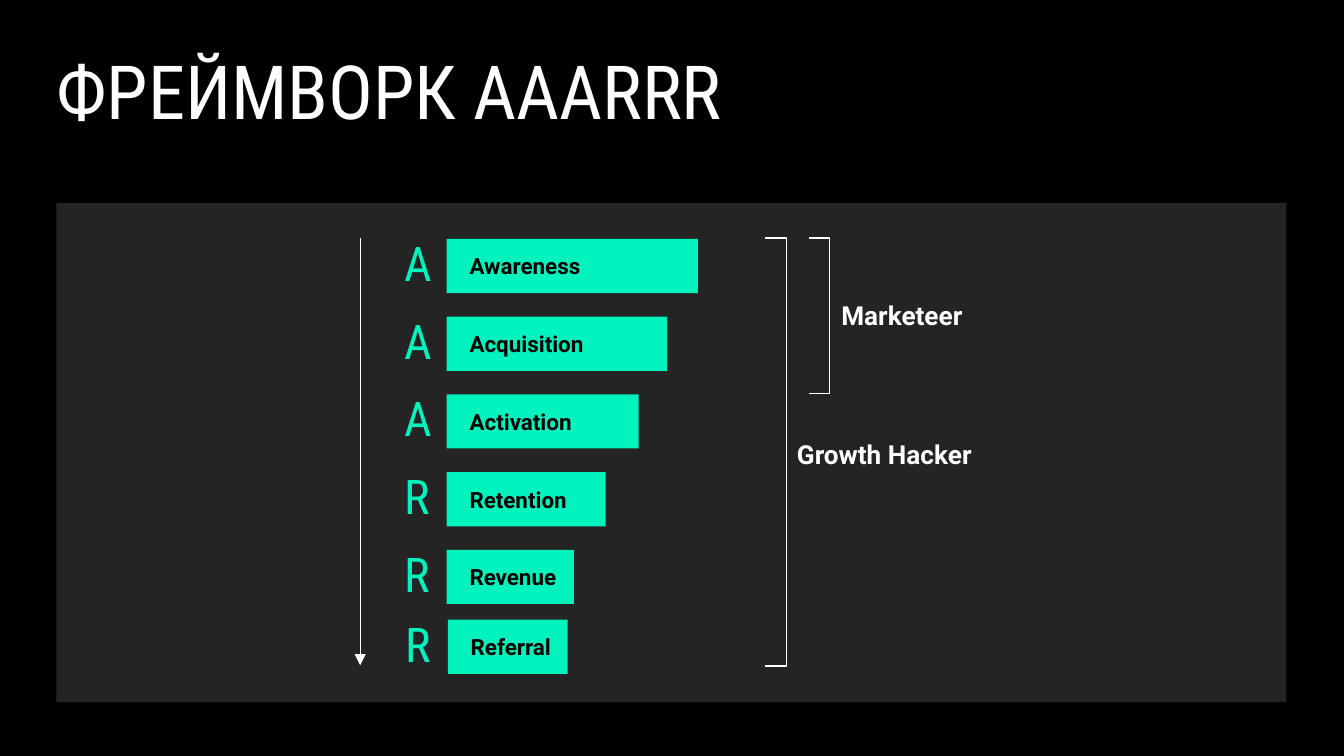
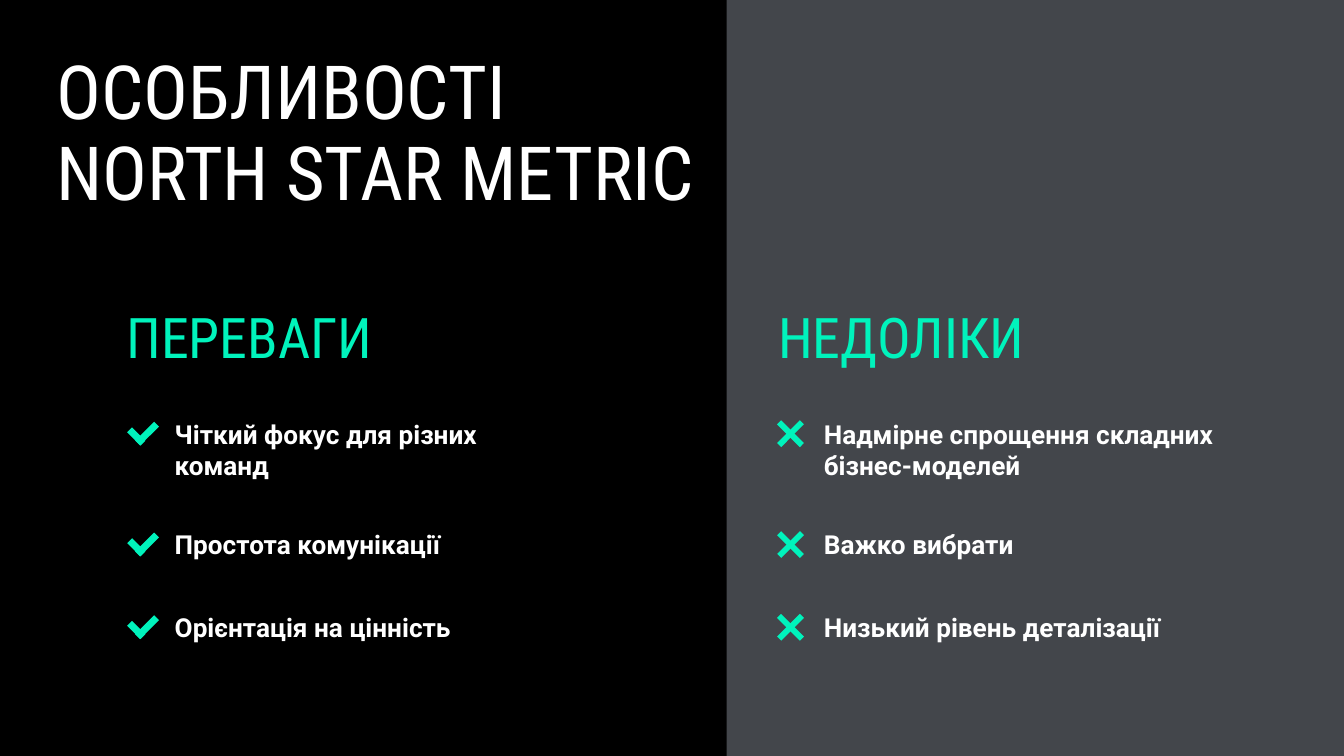
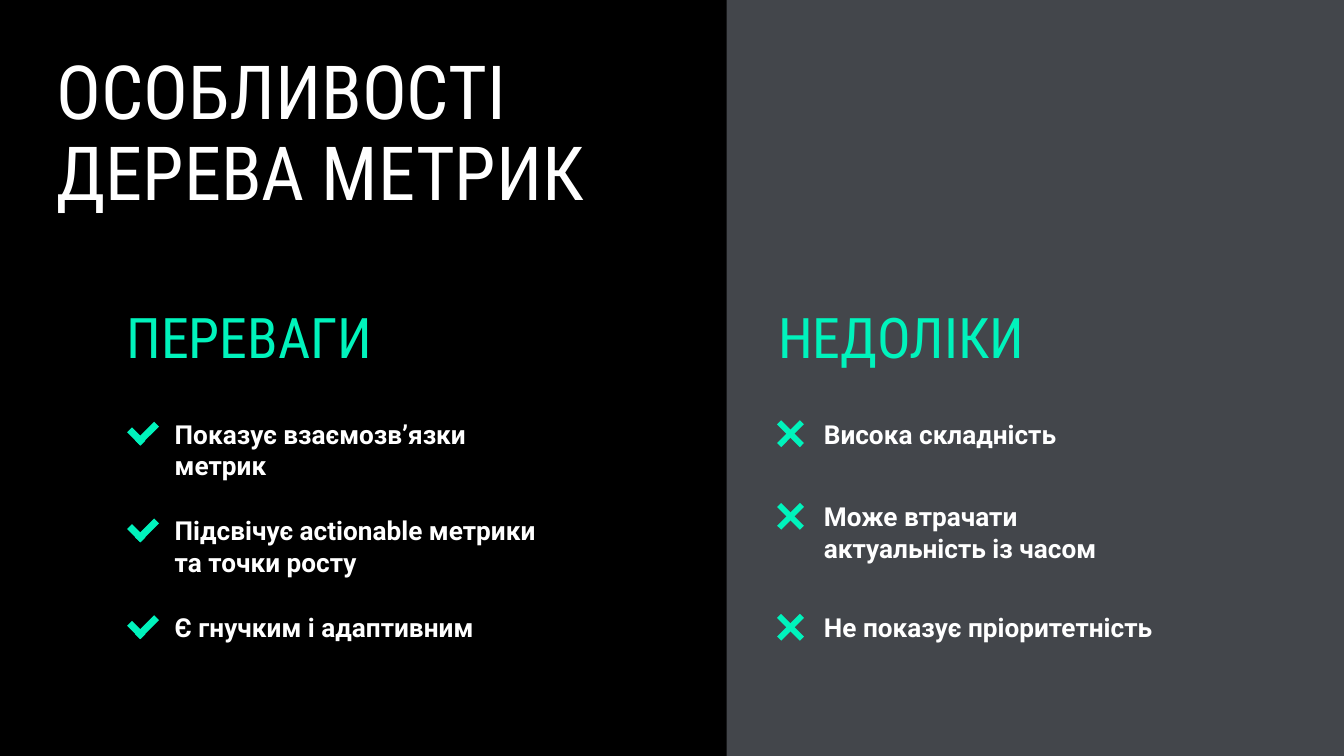
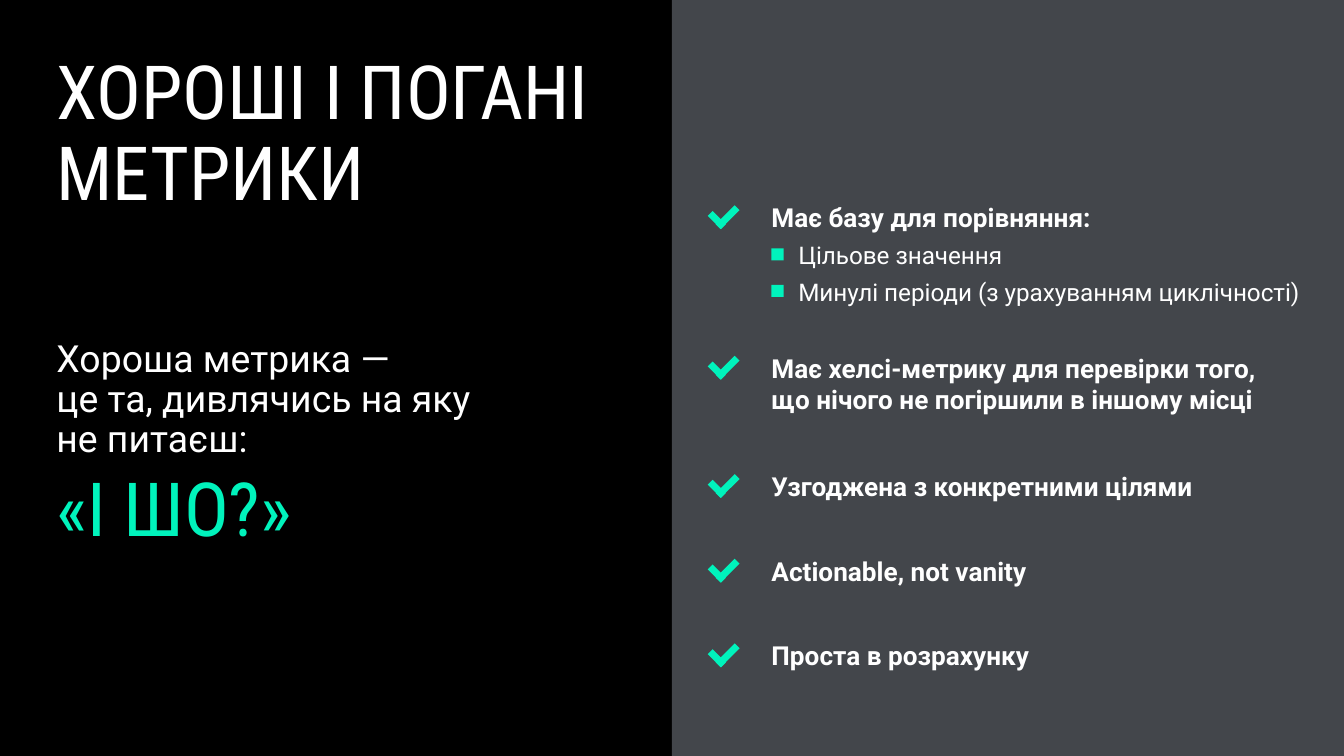
from dataclasses import dataclass
from typing import Callable, NamedTuple

import pptx
import pptx.dml.color
import pptx.enum.shapes
import pptx.enum.text
import pptx.oxml.ns
import pptx.util
from lxml import etree

Pt = pptx.util.Pt
qn = pptx.oxml.ns.qn
ANCHOR = pptx.enum.text.MSO_ANCHOR

COLORS = {
    "black": "000000",
    "white": "FFFFFF",
    "mint": "00F3BC",
    "panel": "242424",
    "side": "43464B",
}
BODY_FONT = "Roboto"
HEAD_FONT = "Roboto Condensed"
SLIDE_W, SLIDE_H = 720, 405
MARGIN = 30.24


class Box(NamedTuple):
    left: float
    top: float
    width: float
    height: float


class Stage(NamedTuple):
    name: str
    width: float


class Point(NamedTuple):
    text: str
    top: float
    width: float
    height: float = 17.28


class Bracket(NamedTuple):
    left: float
    right: float
    bottom: float
    label: str
    label_box: Box


@dataclass
class Column:
    heading: str
    heading_box: Box
    mark: Callable
    mark_left: float
    text_left: float
    points: list[Point]


def rgb(name: str):
    return pptx.dml.color.RGBColor.from_string(COLORS[name])


# Shared drawing functions
def write(frame, text: str, *, size: float = 14, font: str = BODY_FONT,
          color: str = "white", bold: bool = False, spacing: float | None = None,
          before: float | None = None, after: float | None = None,
          indent: float = 0) -> None:
    """Fill the empty first paragraph, or add one below the text."""
    paragraph = frame.add_paragraph() if frame.text else frame.paragraphs[0]
    if indent:
        properties = paragraph._p.get_or_add_pPr()
        properties.set("marL", str(Pt(indent)))
        properties.set("indent", "0")
    paragraph.alignment = pptx.enum.text.PP_ALIGN.LEFT
    if spacing:
        paragraph.line_spacing = spacing
    if before is not None:
        paragraph.space_before = Pt(before)
    if after is not None:
        paragraph.space_after = Pt(after)
    paragraph.text = text
    for run in paragraph.runs:
        run.font.size = Pt(size)
        run.font.name = font
        run.font.bold = bold
        run.font.color.rgb = rgb(color)


def set_frame(frame, insets: Box, anchor=ANCHOR.TOP) -> None:
    frame.word_wrap = True
    frame.vertical_anchor = anchor
    frame.margin_left, frame.margin_top, frame.margin_right, frame.margin_bottom = map(Pt, insets)


def text_frame(slide, box: Box, grow: bool = False, anchor=ANCHOR.TOP):
    frame = slide.shapes.add_textbox(*map(Pt, box)).text_frame
    set_frame(frame, Box(0, 0, 0, 0), anchor)
    if grow:
        frame.auto_size = pptx.enum.text.MSO_AUTO_SIZE.SHAPE_TO_FIT_TEXT
    return frame


def add_rect(shapes, box: Box, color: str, rotation: float = 0):
    rect = shapes.add_shape(pptx.enum.shapes.MSO_SHAPE.RECTANGLE, *map(Pt, box))
    rect.shadow.inherit = False
    rect.fill.solid()
    rect.fill.fore_color.rgb = rgb(color)
    rect.line.fill.background()
    rect.rotation = rotation
    return rect


def add_check(slide, left: float, text_top: float) -> None:
    strokes = slide.shapes.add_group_shape().shapes
    add_rect(strokes, Box(left, text_top + 4.9, 3.7, 10.1), "mint", 315)
    add_rect(strokes, Box(left + 5.75, text_top + 1.2, 3.7, 14.4), "mint", 45)


def add_cross(slide, left: float, text_top: float) -> None:
    strokes = slide.shapes.add_group_shape().shapes
    for rotation in (45, 315):
        add_rect(strokes, Box(left, text_top - 0.2, 3.1, 17.3), "mint", rotation)


def add_slide(deck, title: str, title_width: float, title_height: float,
              side_left: float | None = None):
    slide = deck.slides.add_slide(deck.slide_layouts[6])
    slide.background.fill.solid()
    slide.background.fill.fore_color.rgb = rgb("black")
    if side_left is not None:
        add_rect(slide.shapes, Box(side_left, 0, SLIDE_W - side_left, SLIDE_H), "side")
    write(text_frame(slide, Box(MARGIN, 29.52, title_width, title_height), grow=True),
          title, size=40, font=HEAD_FONT, spacing=0.9)
    return slide


# Slide 1: funnel
STAGES = [
    Stage("Awareness", 134.6),
    Stage("Acquisition", 118.1),
    Stage("Activation", 102.8),
    Stage("Retention", 85.2),
    Stage("Revenue", 68.2),
    Stage("Referral", 64.2),
]
FUNNEL_TOP = 127.5
BRACKETS = [
    Bracket(433.6, 444.5, 210.8, "Marketeer", Box(450.72, 160.56, 76.32, 17.28)),
    Bracket(410, 421.2, 356.8, "Growth Hacker", Box(426.96, 234.72, 100.08, 17.28)),
]


def add_stage(slide, stage: Stage, left: float, top: float) -> None:
    bar = add_rect(slide.shapes, Box(left, top, stage.width, 29), "mint")
    set_frame(bar.text_frame, Box(12.24, 6.5, 6.5, 6.5), ANCHOR.MIDDLE)
    write(bar.text_frame, stage.name, size=12, color="black", bold=True)
    initial = text_frame(slide, Box(left - 22.4, top, 16.6, 29), anchor=ANCHOR.MIDDLE)
    write(initial, stage.name[0], size=25.6, font=HEAD_FONT, color="mint", spacing=0.9)


def add_arrow(slide, x: float, top: float, bottom: float) -> None:
    arrow = slide.shapes.add_connector(
        pptx.enum.shapes.MSO_CONNECTOR.STRAIGHT, Pt(x), Pt(top), Pt(x), Pt(bottom))
    arrow.line.color.rgb = rgb("white")
    arrow.line.width = Pt(0.75)
    properties = arrow._element.spPr
    etree.SubElement(properties.find(qn("a:ln")), qn("a:tailEnd"), type="triangle")
    etree.SubElement(properties, qn("a:effectLst"))


def add_bracket(slide, bracket: Bracket) -> None:
    left, right, bottom = map(Pt, bracket[:3])
    top = Pt(FUNNEL_TOP)
    builder = slide.shapes.build_freeform(left, top)
    builder.add_line_segments([(right, top), (right, bottom), (left, bottom)], close=False)
    outline = builder.convert_to_shape()
    outline.shadow.inherit = False
    outline.fill.background()
    outline.line.color.rgb = rgb("white")
    outline.line.width = Pt(0.75)
    write(text_frame(slide, bracket.label_box, grow=True), bracket.label, bold=True)


def funnel_slide(deck) -> None:
    slide = add_slide(deck, "ФРЕЙМВОРК AAARRR", 465.12, 43.92)
    add_rect(slide.shapes, Box(MARGIN, 108.7, 659, 267.5), "panel")
    # The last stage sits a little closer and to the right
    for row, stage in enumerate(STAGES[:-1]):
        add_stage(slide, stage, 239.3, 128 + 41.65 * row)
    add_stage(slide, STAGES[-1], 239.9, 332)
    add_arrow(slide, 193, FUNNEL_TOP, 356.4)
    for bracket in BRACKETS:
        add_bracket(slide, bracket)


# Slides 2 and 3: advantages and drawbacks
ROW_TOP, LAST_ROW_TOP = 223.92, 327.6
TWO_LINES = 32.4


def pros(points: list[Point]) -> Column:
    return Column("ПЕРЕВАГИ", Box(67.68, 166.32, 201.6, 32.4), add_check, 71.2, 93.6, points)


def cons(points: list[Point]) -> Column:
    return Column("НЕДОЛІКИ", Box(416.88, 166.32, 159.84, 32.4), add_cross, 422, 441.36, points)


def comparison_slide(deck, title: str, columns: list[Column]) -> None:
    slide = add_slide(deck, title, 342, 87.12, side_left=389.3)
    for column in columns:
        write(text_frame(slide, column.heading_box, grow=True), column.heading,
              size=30, font=HEAD_FONT, color="mint", spacing=0.9)
        for point in column.points:
            box = Box(column.text_left, point.top, point.width, point.height)
            write(text_frame(slide, box), point.text, bold=True)
            column.mark(slide, column.mark_left, point.top)


# Slide 4: signs of a good metric
SIGNS = [
    Point("Має базу для порівняння:", 108, 286.56, 53.28),
    Point("Має хелсі-метрику для перевірки того, що нічого не погіршили в іншому місці",
          188.64, 282.24, 35.28),
    Point("Узгоджена з конкретними цілями", 252, 282.24),
    Point("Actionable, not vanity", 297.36, 282.24),
    Point("Проста в розрахунку", 342.72, 282.24),
]
BASELINES = ["Цільове значення", "Минулі періоди (з урахуванням циклічності)"]


def signs_slide(deck) -> None:
    slide = add_slide(deck, "ХОРОШІ І ПОГАНІ МЕТРИКИ", 304.56, 87.12, side_left=360)
    question = text_frame(slide, Box(MARGIN, 182.16, 232.56, 115.2), grow=True)
    write(question, "Хороша метрика — \vце та, дивлячись на яку не питаєш:", size=20, spacing=0.9)
    write(question, "«І ШО?»", size=40, font=HEAD_FONT, color="mint",
          spacing=0.9, before=6, after=6)

    text_left = 413.28
    for row, sign in enumerate(SIGNS):
        frame = text_frame(slide, Box(text_left, sign.top, sign.width, sign.height))
        write(frame, sign.text, bold=True, after=4 if row else 0)
        add_check(slide, 382.2, sign.top)
        if row == 0:
            for line, baseline in enumerate(BASELINES):
                write(frame, baseline, size=13, before=4, after=4 * line, indent=14.4)
                add_rect(slide.shapes, Box(text_left, 133 + 19.6 * line, 6.5, 6.5), "mint")


def main() -> None:
    deck = pptx.Presentation()
    deck.slide_width, deck.slide_height = Pt(SLIDE_W), Pt(SLIDE_H)
    funnel_slide(deck)
    comparison_slide(deck, "ОСОБЛИВОСТІ NORTH STAR METRIC", [
        pros([
            Point("Чіткий фокус для різних команд", ROW_TOP, 198, TWO_LINES),
            Point("Простота комунікації", 283.3, 201.6),
            Point("Орієнтація на цінність", LAST_ROW_TOP, 198),
        ]),
        cons([
            Point("Надмірне спрощення складних бізнес-моделей", ROW_TOP, 211.68, TWO_LINES),
            Point("Важко вибрати", 283.3, 183.6),
            Point("Низький рівень деталізації", LAST_ROW_TOP, 183.6),
        ]),
    ])
    comparison_slide(deck, "ОСОБЛИВОСТІ ДЕРЕВА МЕТРИК", [
        pros([
            Point("Показує взаємозвʼязки метрик", ROW_TOP, 198, TWO_LINES),
            Point("Підсвічує actionable метрики та точки росту", 275.76, 201.6, TWO_LINES),
            Point("Є гнучким і адаптивним", LAST_ROW_TOP, 198),
        ]),
        cons([
            Point("Висока складність", ROW_TOP, 211.68),
            Point("Може втрачати актуальність із часом", 268.2, 183.6, TWO_LINES),
            Point("Не показує пріоритетність", LAST_ROW_TOP, 183.6),
        ]),
    ])
    signs_slide(deck)
    deck.save("out.pptx")


if __name__ == "__main__":
    main()
